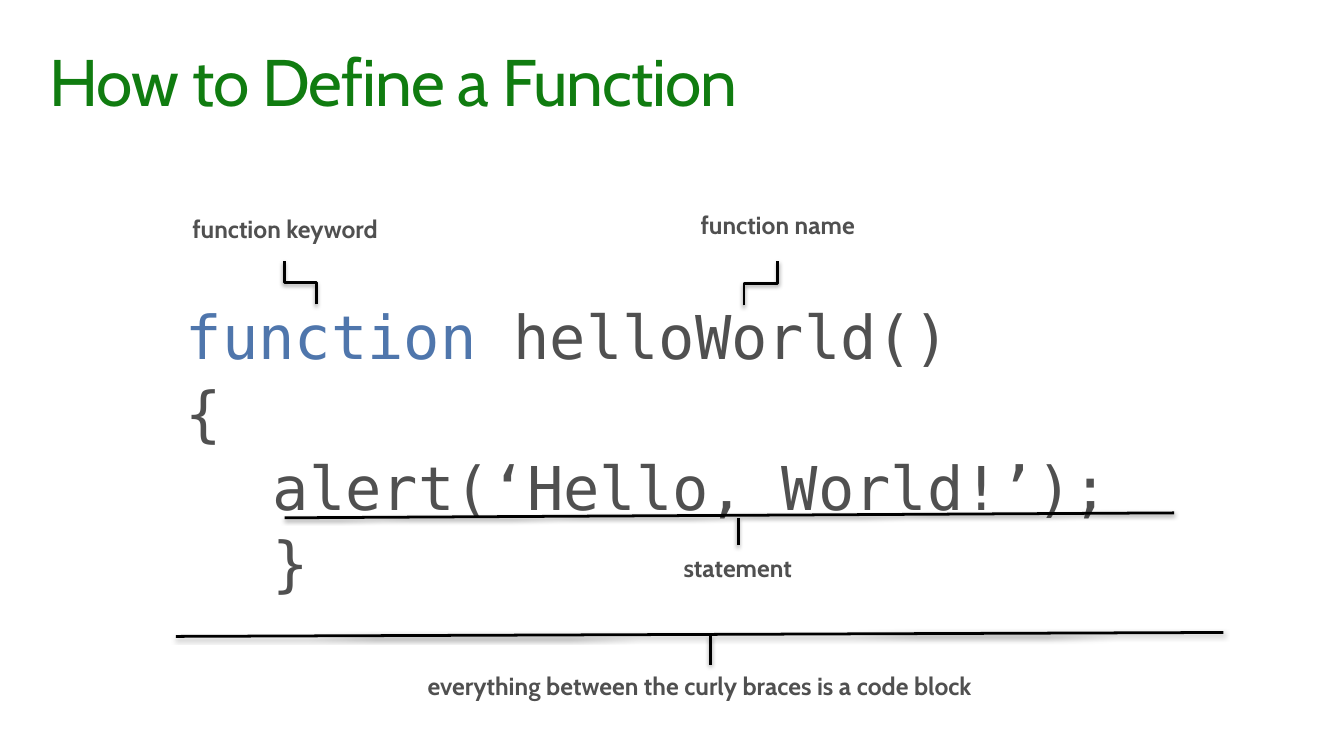
from lxml import etree
from pptx import Presentation
from pptx import util as u
from pptx.dml.color import RGBColor
from pptx.enum import shapes, text
from pptx.oxml import ns

GREEN, BLUE, GREY, BLACK = "107C10", "4F76AC", "505050", "000000"


def style(run, color, **formats):
    run.font.color.rgb = RGBColor.from_string(color)
    for name, value in formats.items():
        setattr(run.font, name, value)


def draw_line(kind, x1, y1, x2, y2):
    line = slide.shapes.add_connector(kind, *map(u.Inches, (x1, y1, x2, y2)))
    line.line.width = u.Pt(2)
    line.line.color.rgb = RGBColor.from_string(BLACK)
    props = line._element.spPr
    effects = etree.SubElement(props, ns.qn("a:effectLst"))
    shadow = etree.SubElement(effects, ns.qn("a:outerShdw"), blurRad="40000",
                              dist="20000", dir="5400000", rotWithShape="0")
    tint = etree.SubElement(shadow, ns.qn("a:srgbClr"), val=BLACK)
    etree.SubElement(tint, ns.qn("a:alpha"), val="38000")
    return line


deck = Presentation()
deck.slide_width, deck.slide_height = u.Inches(13.6), u.Inches(7.65)
slide = deck.slides.add_slide(deck.slide_layouts[1])
heading, code = slide.placeholders

# Title and code placeholders: place and frame
for holder, box, margin in ((heading, (0.4, 0.4, 12.8, 1), 0.1),
                            (code, (1.78, 2.98, 10.6, 1.37), 0.05)):
    holder.left, holder.top, holder.width, holder.height = map(u.Inches, box)
    frame_format = {
        "margin_left": u.Inches(0.1), "margin_right": u.Inches(0.1),
        "margin_top": u.Inches(margin), "margin_bottom": u.Inches(margin),
        "vertical_anchor": text.MSO_ANCHOR.TOP,
        "auto_size": text.MSO_AUTO_SIZE.NONE, "word_wrap": True,
    }
    for name, value in frame_format.items():
        setattr(holder.text_frame, name, value)

# Title
title_line = heading.text_frame.paragraphs[0]
title_line.alignment = text.PP_ALIGN.LEFT
title_line.line_spacing = 0.9
title_run = title_line.add_run()
title_run.text = "How to Define a Function"
style(title_run, GREEN, name="Cabin", size=u.Pt(48))
title_run.font._element.set("spc", "-70")

# Code: indent in inches, then coloured pieces of the line
code_lines = [
    (0, [("function ", BLUE), ("helloWorld()", GREY)]),
    (0, [("{", GREY)]),
    (0.88, [("alert(‘Hello, World!’);", GREY)]),
    (0.88, [("}", GREY)]),
]
for number, (indent, pieces) in enumerate(code_lines):
    code_frame = code.text_frame
    code_line = code_frame.add_paragraph() if number else code_frame.paragraphs[0]
    code_line.space_before = u.Pt(2)
    line_props = code_line._p.get_or_add_pPr()
    line_props.set("marL", str(u.Inches(indent)))
    line_props.set("indent", "0")
    etree.SubElement(line_props, ns.qn("a:buNone"))
    for wording, color in pieces:
        piece = code_line.add_run()
        piece.text = wording
        style(piece, color, name="DejaVu Sans Mono", size=u.Pt(44))

# Elbows from code to label: rotated a quarter turn to leave vertically
for x1, y1, x2, y2 in ((3.2, 3.08, 2.88, 2.64), (7.53, 3.09, 7.87, 2.64)):
    mid_x, mid_y = (x1 + x2) / 2, (y1 + y2) / 2
    dx, dy = (x1 - x2) / 2, (y1 - y2) / 2
    elbow = draw_line(shapes.MSO_CONNECTOR.ELBOW,
                      mid_x + dy, mid_y - dx, mid_x - dy, mid_y + dx)
    elbow._element.spPr.xfrm.set("rot", str(90 * 60000))

# Underlines of statement and code block, each with a tick to its label
for ends in ((2.88, 5.24, 11.88, 5.19), (7.47, 5.24, 7.47, 5.52),
             (1.78, 6.44, 12.38, 6.4), (7.19, 6.44, 7.19, 6.73)):
    draw_line(shapes.MSO_CONNECTOR.STRAIGHT, *ends)

# Labels: left, top, width
labels = [
    ("function keyword", 1.47, 2.11, 2.83),
    ("function name", 6.37, 2.07, 3),
    ("statement", 6.61, 5.54, 1.71),
    ("everything between the curly braces is a code block", 1.78, 6.74, 10.6),
]
for wording, left, top, width in labels:
    label = slide.shapes.add_textbox(*map(u.Inches, (left, top, width, 0.4)))
    label.text_frame.word_wrap = True
    label_line = label.text_frame.paragraphs[0]
    label_line.alignment = text.PP_ALIGN.CENTER
    label_run = label_line.add_run()
    label_run.text = wording
    style(label_run, GREY, name="Cabin", size=u.Pt(18), bold=True)

deck.save("out.pptx")
